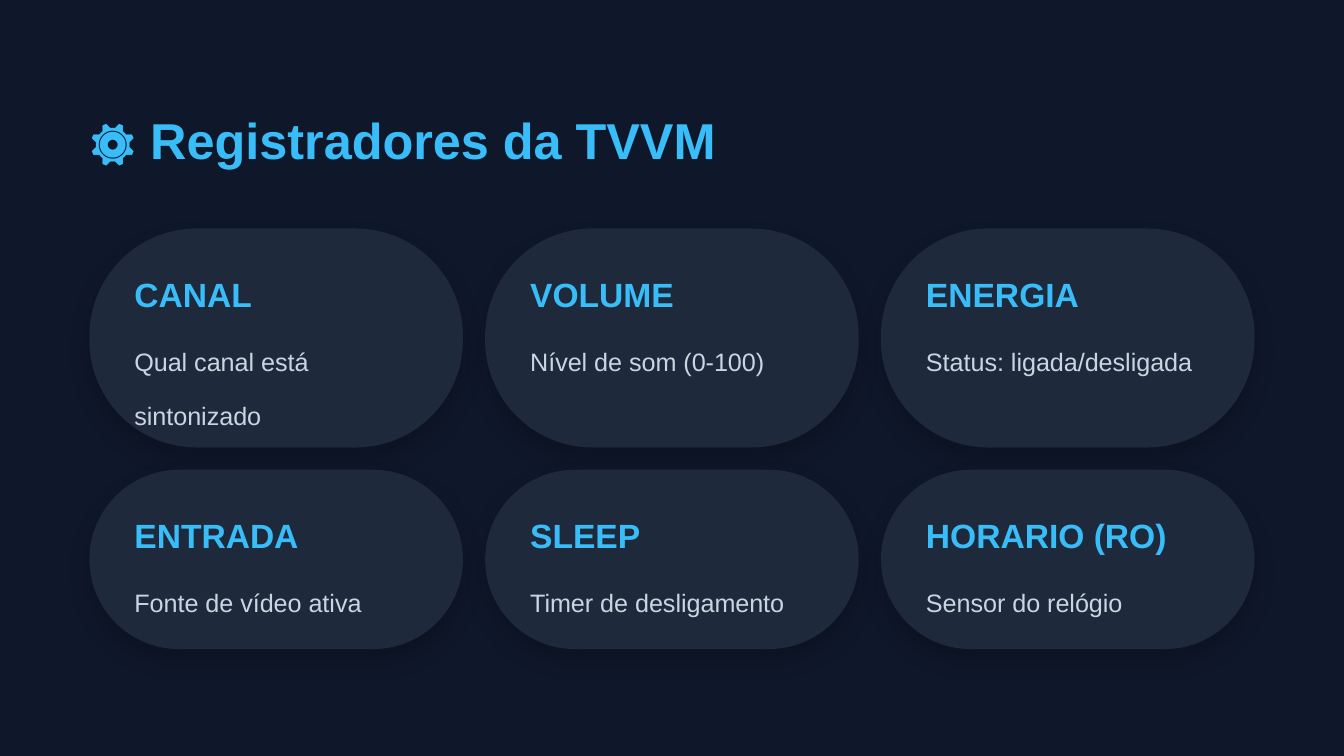
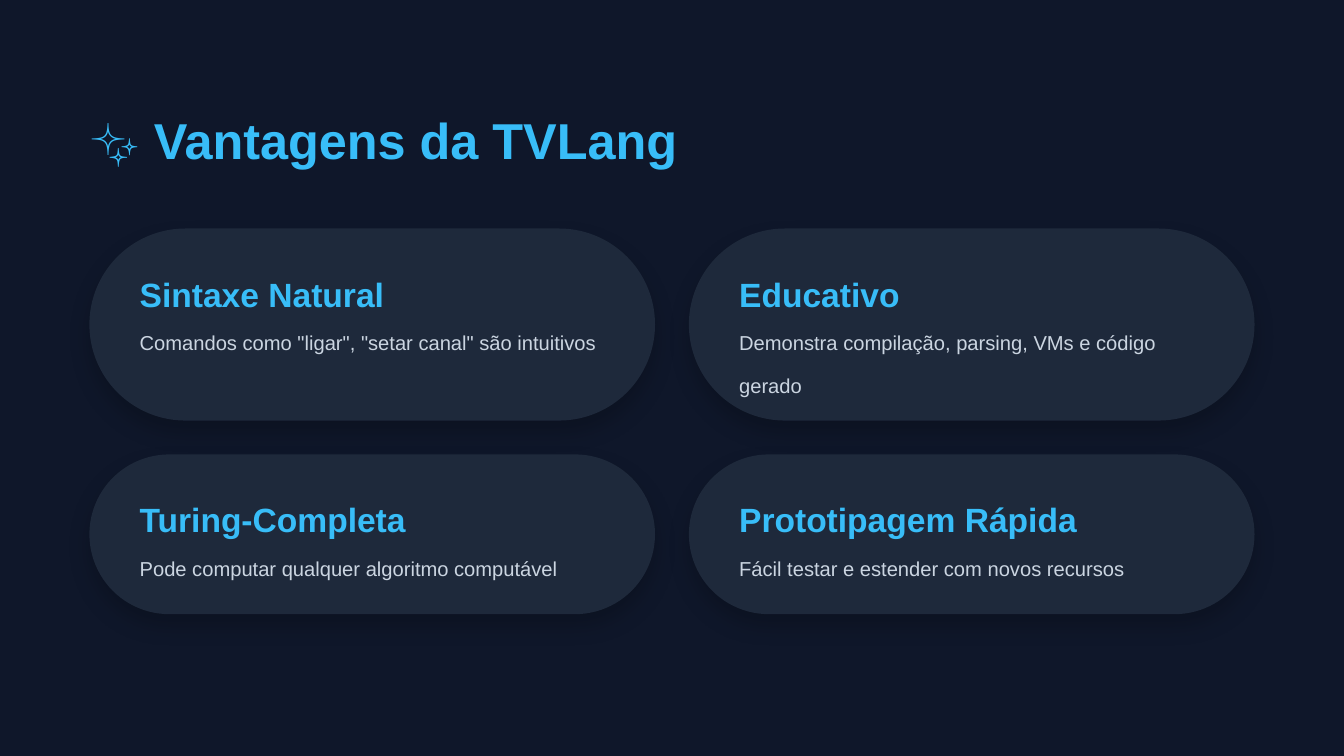
import dataclasses

import lxml.etree
import pptx
import pptx.dml.color
import pptx.enum.shapes
import pptx.enum.text
import pptx.oxml.ns
import pptx.util

Cm = pptx.util.Cm
Pt = pptx.util.Pt


@dataclasses.dataclass(frozen=True)
class Theme:
    font: str = "Arial"
    background: str = "0F172A"
    card: str = "1E293B"
    accent: str = "38BDF8"
    body: str = "CBD5E1"
    title_size: float = 27
    title_leading: float = 43.2
    heading_size: float = 18
    heading_leading: float = 21.6


@dataclasses.dataclass(frozen=True)
class CardGrid:
    """Measures of one slide's cards: centimetres, and points for the text."""
    columns: int
    row_heights: tuple
    gap: float
    indent: float
    text_top: float
    text_size: float
    text_leading: float
    line_height: float


THEME = Theme()
SLIDE_W, SLIDE_H = 25.4, 14.29
MARGIN = 1.69
CONTENT_W = SLIDE_W - 2 * MARGIN
CARDS_TOP = 4.32
CARD_PADDING = 0.85
CARD_RADIUS = 2.03
HEADING_H = 0.71
SLACK = 1.02  # single-line boxes are slightly wider than their column

REGISTER_GRID = CardGrid(3, (4.14, 3.39), 0.42, 0.85, 1.78, 13.5, 28.8, 0.76)
REGISTERS = [
    ("CANAL", "Qual canal está sintonizado", 2),
    ("VOLUME", "Nível de som (0-100)", 1),
    ("ENERGIA", "Status: ligada/desligada", 1),
    ("ENTRADA", "Fonte de vídeo ativa", 1),
    ("SLEEP", "Timer de desligamento", 1),
    ("HORARIO (RO)", "Sensor do relógio", 1),
]

ADVANTAGE_GRID = CardGrid(2, (3.63, 3.02), 0.64, 0.95, 1.57, 10.8, 23, 0.61)
ADVANTAGES = [
    ("Sintaxe Natural", 'Comandos como "ligar", "setar canal" são intuitivos', 1),
    ("Educativo", "Demonstra compilação, parsing, VMs e código gerado", 2),
    ("Turing-Completa", "Pode computar qualquer algoritmo computável", 1),
    ("Prototipagem Rápida", "Fácil testar e estender com novos recursos", 1),
]


def rgb(color):
    return pptx.dml.color.RGBColor.from_string(color)


def write_text(sp, text, size, leading, color, bold=False):
    """Fill a shape with one left-aligned run, without insets."""
    tf = sp.text_frame
    tf.word_wrap = True
    tf.auto_size = pptx.enum.text.MSO_AUTO_SIZE.NONE
    tf.vertical_anchor = pptx.enum.text.MSO_ANCHOR.TOP
    tf.margin_left = tf.margin_top = tf.margin_right = tf.margin_bottom = 0
    p = tf.paragraphs[0]
    p.alignment = pptx.enum.text.PP_ALIGN.LEFT
    p.line_spacing = Pt(leading)
    p.space_before = Pt(0)
    r = p.add_run()
    r.text = text
    r.font.name = THEME.font
    r.font.size = Pt(size)
    r.font.bold = bold
    r.font.color.rgb = rgb(color)


def add_text(s, x, y, w, h, *style, bold=False):
    sp = s.shapes.add_textbox(Cm(x), Cm(y), Cm(w), Cm(h))
    write_text(sp, *style, bold=bold)


def add_shadow(sp):
    """Give the shape a soft shadow that falls straight down."""
    sp.shadow.inherit = False
    qn = pptx.oxml.ns.qn
    effects = sp.element.spPr.find(qn("a:effectLst"))
    shadow = lxml.etree.SubElement(
        effects, qn("a:outerShdw"), blurRad=str(Pt(12)), dist=str(Pt(6)),
        dir="5400000", algn="bl", rotWithShape="0")
    color = lxml.etree.SubElement(shadow, qn("a:srgbClr"), val="000000")
    lxml.etree.SubElement(color, qn("a:alpha"), val="20000")


def add_card(s, x, y, w, h):
    sp = s.shapes.add_shape(pptx.enum.shapes.MSO_SHAPE.ROUNDED_RECTANGLE,
                            Cm(x), Cm(y), Cm(w), Cm(h))
    sp.adjustments[0] = CARD_RADIUS / h
    sp.fill.solid()
    sp.fill.fore_color.rgb = rgb(THEME.card)
    sp.line.fill.background()
    add_shadow(sp)


def add_card_grid(s, grid, cards):
    card_w = (CONTENT_W - (grid.columns - 1) * grid.gap) / grid.columns
    text_w = card_w - grid.indent - CARD_PADDING
    for i, (heading, text, lines) in enumerate(cards):
        row, column = divmod(i, grid.columns)
        x = MARGIN + column * (card_w + grid.gap)
        y = CARDS_TOP + sum(grid.row_heights[:row]) + row * grid.gap
        add_card(s, x, y, card_w, grid.row_heights[row])
        add_text(s, x + grid.indent, y + CARD_PADDING, text_w * SLACK, HEADING_H,
                 heading, THEME.heading_size, THEME.heading_leading,
                 THEME.accent, bold=True)
        add_text(s, x + grid.indent, y + grid.text_top,
                 text_w * SLACK if lines == 1 else text_w,
                 lines * grid.line_height,
                 text, grid.text_size, grid.text_leading, THEME.body)


def add_titled_slide(prs, title):
    s = prs.slides.add_slide(prs.slide_layouts.get_by_name("Title Only"))
    s.background.fill.solid()
    s.background.fill.fore_color.rgb = rgb(THEME.background)
    sp = s.shapes.title
    sp.left, sp.top = Cm(MARGIN), Cm(MARGIN)
    sp.width, sp.height = Cm(CONTENT_W * SLACK), Cm(1.14)
    write_text(sp, title, THEME.title_size, THEME.title_leading,
               THEME.accent, bold=True)
    return s


def main():
    prs = pptx.Presentation()
    prs.slide_width, prs.slide_height = Cm(SLIDE_W), Cm(SLIDE_H)
    s = add_titled_slide(prs, "⚙️ Registradores da TVVM")
    add_card_grid(s, REGISTER_GRID, REGISTERS)
    s = add_titled_slide(prs, "✨ Vantagens da TVLang")
    add_card_grid(s, ADVANTAGE_GRID, ADVANTAGES)
    prs.save("out.pptx")


if __name__ == "__main__":
    main()
